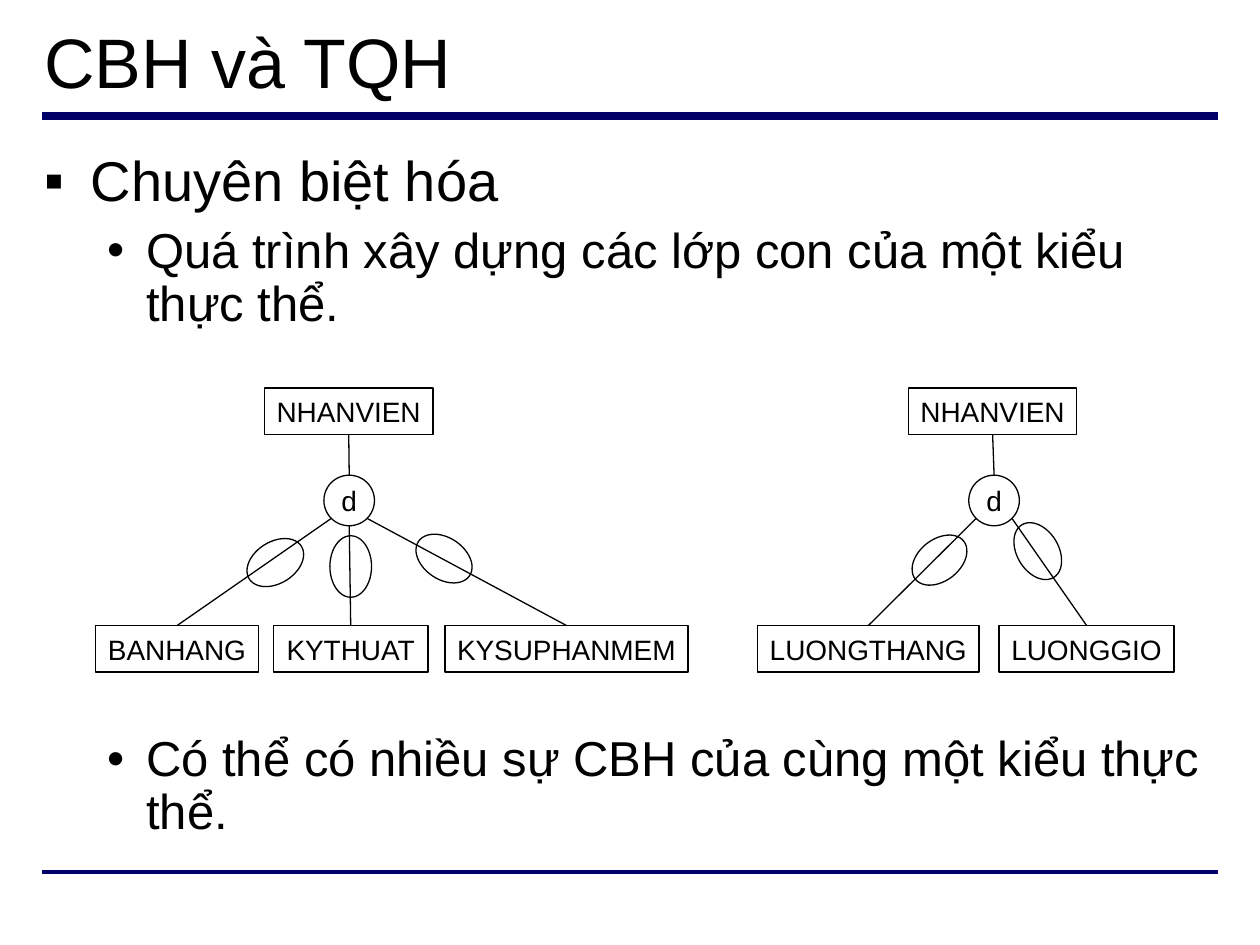
from math import sqrt

from lxml import etree
from pptx import Presentation
from pptx.dml.color import RGBColor
from pptx.enum.shapes import MSO_CONNECTOR, MSO_SHAPE
from pptx.enum.text import MSO_ANCHOR, MSO_AUTO_SIZE, PP_ALIGN
from pptx.oxml.ns import qn
from pptx.util import Cm, Pt

BLACK = RGBColor(0x00, 0x00, 0x00)
WHITE = RGBColor(0xFF, 0xFF, 0xFF)
NAVY = RGBColor(0x00, 0x00, 0x66)
FONT = "Arial"

BOX_HEIGHT = 0.94
PARENT_TOP, CHILD_TOP = 7.82, 12.61
CIRCLE_TOP, CIRCLE_SIZE = 9.58, 1.02
LOOP_WIDTH, LOOP_HEIGHT = 0.84, 1.24

# Left edge and width of boxes; side of the circle a branch leaves from
# (-1 left, 0 bottom, 1 right); centre and rotation of its subset loop.
HIERARCHIES = [
    {
        "parent": (5.33, 3.4),
        "circle_left": 6.53,
        "children": [
            ("BANHANG", 1.93, 3.28, -1, (5.55, 11.34, 238)),
            ("KYTHUAT", 5.51, 3.12, 0, (7.07, 11.42, 180)),
            ("KYSUPHANMEM", 8.97, 4.9, 1, (8.95, 11.26, 124)),
        ],
    },
    {
        "parent": (18.31, 3.4),
        "circle_left": 19.53,
        "children": [
            ("LUONGTHANG", 15.27, 4.47, -1, (18.94, 11.29, 232)),
            ("LUONGGIO", 20.14, 3.53, 1, (20.92, 11.11, 149)),
        ],
    },
]

prs = Presentation()
prs.slide_width, prs.slide_height = Cm(25.4), Cm(19.05)
slide = prs.slides.add_slide(prs.slide_layouts[5])
shapes = slide.shapes


def add_line(x1, y1, x2, y2, color=BLACK, weight=0.75):
    line = shapes.add_connector(
        MSO_CONNECTOR.STRAIGHT, Cm(x1), Cm(y1), Cm(x2), Cm(y2))
    line.line.color.rgb = color
    line.line.width = Pt(weight)
    etree.SubElement(line._element.spPr, qn("a:effectLst"))
    return line


def add_node(kind, left, top, width, height, label="", fill=None):
    """Add an outlined shape with an optional centred label."""
    node = shapes.add_shape(kind, Cm(left), Cm(top), Cm(width), Cm(height))
    node.shadow.inherit = False
    node.line.color.rgb = BLACK
    node.line.width = Pt(0.75)
    if fill is None:
        node.fill.background()
    else:
        node.fill.solid()
        node.fill.fore_color.rgb = fill
    if label:
        frame = node.text_frame
        frame.text = label
        frame.word_wrap = False
        frame.vertical_anchor = MSO_ANCHOR.MIDDLE
        paragraph = frame.paragraphs[0]
        paragraph.alignment = PP_ALIGN.CENTER
        font = paragraph.runs[0].font
        font.name, font.size, font.color.rgb = FONT, Pt(16), BLACK
    return node


for rule_y, weight in [(2.34, 4.5), (17.58, 2.25)]:
    add_line(0.84, rule_y, 24.56, rule_y, NAVY, weight)

title = shapes.title
title.left, title.top, title.width, title.height = Cm(0.64), Cm(0.23), Cm(24.13), Cm(1.96)
title.text_frame.text = "CBH và TQH"
title.text_frame.auto_size = MSO_AUTO_SIZE.NONE
title.text_frame.vertical_anchor = MSO_ANCHOR.MIDDLE
heading = title.text_frame.paragraphs[0]
heading.alignment = PP_ALIGN.LEFT
heading_font = heading.runs[0].font
heading_font.name, heading_font.size, heading_font.color.rgb = FONT, Pt(40), BLACK

# Text, level, bullet, left margin, hanging indent, size, space before
POINTS = [
    ("Chuyên biệt hóa", 0, "▪", 0.94, 0.94, 32, 0),
    ("Quá trình xây dựng các lớp con của một kiểu thực thể.",
     1, "•", 2.06, 0.79, 28, 7),
    ("Có thể có nhiều sự CBH của cùng một kiểu thực thể.",
     1, "•", 2.06, 0.79, 28, 230),
]
body = shapes.add_textbox(Cm(0.64), Cm(2.97), Cm(24.13), Cm(14.2)).text_frame
body.word_wrap = True
for i, (text, level, bullet, margin, hanging, size, before) in enumerate(POINTS):
    point = body.paragraphs[0] if i == 0 else body.add_paragraph()
    point.text = text
    point.level = level
    props = point._p.get_or_add_pPr()
    props.set("marL", str(Cm(margin)))
    props.set("indent", str(-Cm(hanging)))
    bullet_color = etree.SubElement(props, qn("a:buClr"))
    etree.SubElement(bullet_color, qn("a:srgbClr"), val=str(BLACK))
    etree.SubElement(props, qn("a:buFont"), typeface=FONT)
    etree.SubElement(props, qn("a:buChar"), char=bullet)
    point.line_spacing = 0.9
    point.space_before = Pt(before)
    font = point.runs[0].font
    font.name, font.size, font.color.rgb = FONT, Pt(size), BLACK

radius = CIRCLE_SIZE / 2
diagonal = radius / sqrt(2)
for hierarchy in HIERARCHIES:
    parent_left, parent_width = hierarchy["parent"]
    parent = add_node(MSO_SHAPE.RECTANGLE, parent_left, PARENT_TOP,
                      parent_width, BOX_HEIGHT, "NHANVIEN", WHITE)
    circle = add_node(MSO_SHAPE.OVAL, hierarchy["circle_left"], CIRCLE_TOP,
                      CIRCLE_SIZE, CIRCLE_SIZE, "d")
    stem = add_line(0, 0, 0, 0)
    stem.begin_connect(parent, 2)
    stem.end_connect(circle, 0)

    center_x = hierarchy["circle_left"] + radius
    center_y = CIRCLE_TOP + radius
    for name, left, width, side, (loop_x, loop_y, angle) in hierarchy["children"]:
        child = add_node(MSO_SHAPE.RECTANGLE, left, CHILD_TOP,
                         width, BOX_HEIGHT, name, WHITE)
        start_x = center_x + side * diagonal
        start_y = center_y + (diagonal if side else radius)
        branch = add_line(start_x, start_y, left + width / 2, CHILD_TOP)
        branch.end_connect(child, 0)
        subset_loop = add_node(
            MSO_SHAPE.OVAL, loop_x - LOOP_WIDTH / 2, loop_y - LOOP_HEIGHT / 2,
            LOOP_WIDTH, LOOP_HEIGHT)
        subset_loop.rotation = angle

prs.save("out.pptx")
